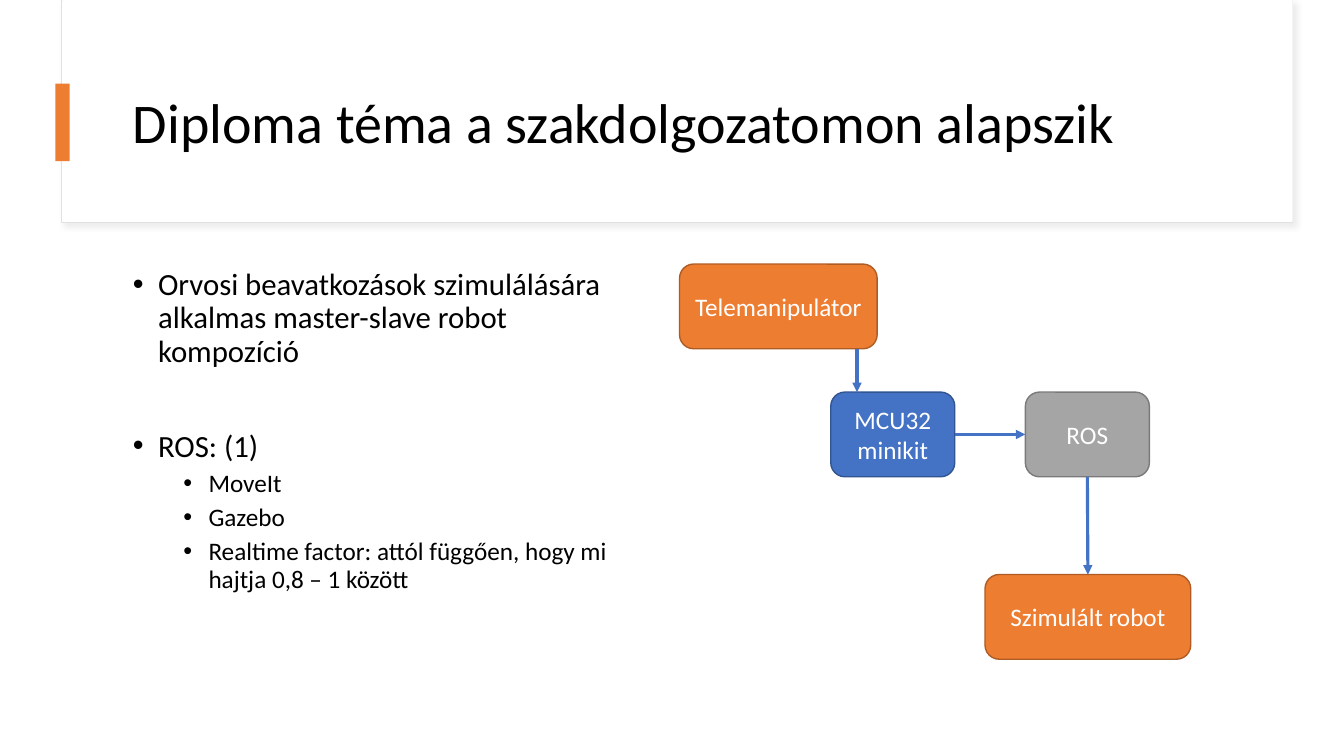
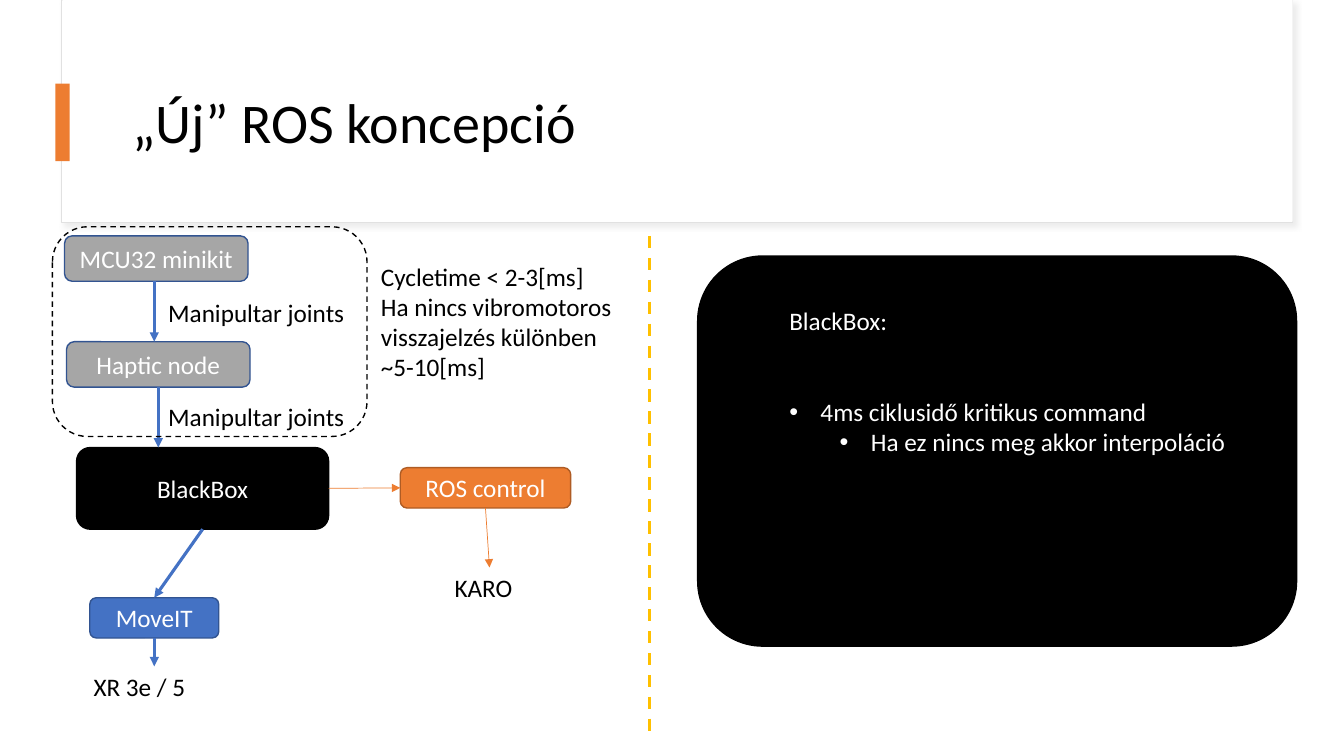
from lxml import etree
from pptx import Presentation
from pptx.dml.color import RGBColor
from pptx.enum.dml import MSO_LINE
from pptx.enum.shapes import MSO_CONNECTOR, MSO_SHAPE
from pptx.enum.text import MSO_ANCHOR, PP_ALIGN
from pptx.oxml.ns import qn
from pptx.util import Inches, Pt

RECT, ROUND = MSO_SHAPE.RECTANGLE, MSO_SHAPE.ROUNDED_RECTANGLE
STRAIGHT, DASH = MSO_CONNECTOR.STRAIGHT, MSO_LINE.DASH
TOP, MIDDLE = MSO_ANCHOR.TOP, MSO_ANCHOR.MIDDLE
LEFT, CENTER = PP_ALIGN.LEFT, PP_ALIGN.CENTER

WHITE = RGBColor(0xFF, 0xFF, 0xFF)
BLACK = RGBColor(0, 0, 0)
PALE = RGBColor(0xE1, 0xE1, 0xE1)
ORANGE = RGBColor(0xED, 0x7D, 0x31)
RUST = RGBColor(0xAF, 0x5C, 0x24)
BLUE = RGBColor(0x44, 0x72, 0xC4)
NAVY = RGBColor(0x32, 0x54, 0x91)
GRAY = RGBColor(0xA5, 0xA5, 0xA5)
STONE = RGBColor(0xA6, 0xA6, 0xA6)
SLATE = RGBColor(0x7A, 0x7A, 0x7A)
GOLD = RGBColor(0xFF, 0xC0, 0x00)
FONT = "Calibri"
WIDE, HIGH = 13.33, 7.5

WARM, COOL, DULL = (ORANGE, RUST), (BLUE, NAVY), (GRAY, SLATE)
NODE, DARK = (STONE, NAVY), (BLACK, BLACK)
THICK, THIN = (BLUE, 2.25), (ORANGE, 0.5)

TOPIC = {
    "title": "Diploma téma a szakdolgozatomon alapszik",
    "boxes": {
        "hand": ("Telemanipulátor", (6.74, 2.62, 1.96, 0.84), WARM),
        "chip": ("MCU32 minikit", (8.24, 3.89, 1.23, 0.84), COOL),
        "ros": ("ROS", (10.17, 3.89, 1.23, 0.84), DULL),
        "robot": ("Szimulált robot", (9.77, 5.7, 2.04, 0.84), WARM),
    },
    "labels": {},
    "down": [("hand", "chip", 8.5, THICK), ("ros", "robot", None, THICK)],
    "across": [("chip", "ros", THICK)],
}
POINTS = [
    dict(text="Orvosi beavatkozások szimulálására alkalmas master-slave "
              "robot kompozíció", size=22, before=10, indent=0.25),
    dict(text="ROS: (1)", size=22, before=44, indent=0.25),
] + [
    dict(text=item, before=5, indent=0.75)
    for item in ("MoveIt", "Gazebo",
                 "Realtime factor: attól függően, hogy mi hajtja 0,8 – 1 között")
]

CONCEPT = {
    "title": "„Új” ROS koncepció",
    "boxes": {
        "chip": ("MCU32 minikit", (0.64, 2.34, 1.82, 0.45), NODE),
        "haptic": ("Haptic node", (0.66, 3.39, 1.82, 0.45), NODE),
        "black": ("BlackBox", (0.76, 4.44, 2.5, 0.81), DARK),
        "move": ("MoveIT", (0.89, 5.93, 1.28, 0.4), COOL),
        "control": ("ROS control", (3.97, 4.64, 1.69, 0.4), WARM),
    },
    "labels": {
        "first": (["Manipultar joints"], (1.57, 2.9, 2, 0.4)),
        "second": (["Manipultar joints"], (1.57, 3.93, 2, 0.4)),
        "arm": (["XR 3e / 5"], (0.83, 6.61, 1.28, 0.4)),
        "maker": (["KARO"], (4.41, 5.63, 0.89, 0.4)),
        "cycle": (["Cycletime < 2-3[ms]",
                   "Ha nincs vibromotoros visszajelzés különben ~5-10[ms]"],
                  (3.68, 2.54, 2.7, 1.31)),
    },
    "down": [
        ("chip", "haptic", 1.53, THICK),
        ("haptic", "black", 1.57, THICK),
        ("black", "move", None, THICK),
        ("move", "arm", 1.53, THICK),
        ("control", "maker", None, THIN),
    ],
    "across": [("black", "control", THIN)],
}
NOTES = [
    dict(text="BlackBox:"),
    dict(text="4ms ciklusidő kritikus command", before=43.5, indent=0.31, hang=0.31),
    dict(text="Ha ez nincs meg akkor interpoláció", indent=0.81, hang=0.31),
]


def write(frame, paras, color=BLACK, align=LEFT, anchor=TOP, spacing=1.0):
    frame.word_wrap = True
    frame.vertical_anchor = anchor
    for i, part in enumerate(paras):
        para = frame.paragraphs[0] if i == 0 else frame.add_paragraph()
        para.alignment, para.line_spacing = align, spacing
        para.space_before = Pt(part.get("before", 0))
        run = para.add_run()
        run.text = part["text"]
        run.font.name, run.font.size = FONT, Pt(part.get("size", 18))
        run.font.color.rgb = color
        if "indent" in part:
            props = para._p.get_or_add_pPr()
            props.set("marL", str(Inches(part["indent"])))
            props.set("indent", str(-Inches(part.get("hang", 0.25))))
            etree.SubElement(props, qn("a:buFont"), typeface="Arial")
            etree.SubElement(props, qn("a:buChar"), char="•")


def area(slide, spot, paras, **style):
    box = slide.shapes.add_textbox(*map(Inches, spot))
    write(box.text_frame, paras, **style)


def block(slide, kind, spot, fill=None, edge=None, weight=1):
    shape = slide.shapes.add_shape(kind, *map(Inches, spot))
    shape.shadow.inherit = False
    if fill is None:
        shape.fill.background()
    else:
        shape.fill.solid()
        shape.fill.fore_color.rgb = fill
    if edge is None:
        shape.line.fill.background()
    else:
        shape.line.color.rgb = edge
        shape.line.width = Pt(weight)
    return shape


def shade(shape):
    effects = shape._element.spPr.find(qn("a:effectLst"))
    cast = etree.SubElement(effects, qn("a:outerShdw"), blurRad=str(Pt(4)),
                            dist=str(Pt(3)), dir=str(45 * 60000))
    tone = etree.SubElement(cast, qn("a:srgbClr"), val="D9D9D9")
    etree.SubElement(tone, qn("a:alpha"), val="50000")


def rule(slide, start, end, color, weight, arrow=True):
    line = slide.shapes.add_connector(STRAIGHT, *map(Inches, start + end))
    line.line.color.rgb = color
    line.line.width = Pt(weight)
    if arrow:
        etree.SubElement(line.line._get_or_add_ln(), qn("a:tailEnd"), type="triangle")
    else:
        line.line.dash_style = DASH
    etree.SubElement(line._element.spPr, qn("a:effectLst"))


def base(deck, title):
    slide = deck.slides.add_slide(deck.slide_layouts[6])
    shade(block(slide, RECT, (0.61, 0, 12.21, 2.21), WHITE, PALE, 0.75))
    block(slide, RECT, (0.62, 0, 12.2, 2.2), WHITE)
    area(slide, (1.22, 0.6, 11.12, 1.29), [dict(text=title, size=40)],
         anchor=MIDDLE, spacing=0.9)
    block(slide, RECT, (0.55, 0.83, 0.14, 0.77), ORANGE)
    return slide


def chart(slide, data):
    spots = {}
    for key, (text, spot, tones) in data["boxes"].items():
        spots[key] = spot
        shape = block(slide, ROUND, spot, *tones)
        write(shape.text_frame, [dict(text=text)], color=WHITE,
              align=CENTER, anchor=MIDDLE)
    for key, (lines, spot) in data["labels"].items():
        spots[key] = spot
        area(slide, spot, [dict(text=text) for text in lines])
    for a, b, x, pen in data["down"]:
        (ax, ay, aw, ah), (bx, by, bw, _) = spots[a], spots[b]
        rule(slide, (x or ax + aw / 2, ay + ah), (x or bx + bw / 2, by), *pen)
    for a, b, pen in data["across"]:
        (ax, ay, aw, ah), (bx, by, _, bh) = spots[a], spots[b]
        rule(slide, (ax + aw, ay + ah / 2), (bx, by + bh / 2), *pen)


def main():
    deck = Presentation()
    deck.slide_width, deck.slide_height = Inches(WIDE), Inches(HIGH)

    topic = base(deck, TOPIC["title"])
    area(topic, (1.22, 2.62, 5.04, 4.28), POINTS, spacing=0.9)
    chart(topic, TOPIC)

    concept = base(deck, CONCEPT["title"])
    chart(concept, CONCEPT)
    group = block(concept, ROUND, (0.52, 2.25, 3.12, 2.08), edge=BLACK)
    group.line.dash_style = DASH
    block(concept, ROUND, (6.92, 2.54, 5.94, 3.87), *DARK)
    rule(concept, (6.44, 2.34), (6.44, 7.27), GOLD, 2.25, arrow=False)
    area(concept, (7.73, 2.98, 4.74, 1.62), NOTES, color=WHITE)

    deck.save("out.pptx")


if __name__ == "__main__":
    main()
